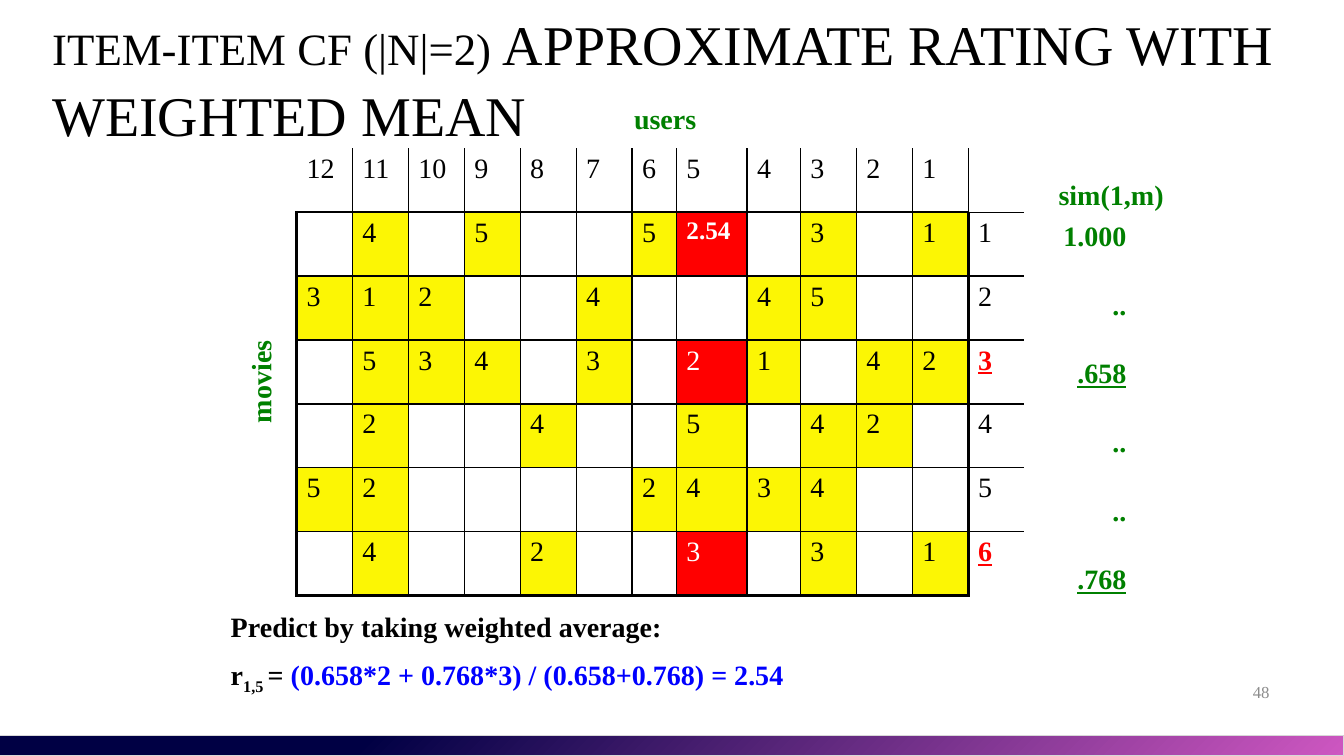
import pptx
from pptx.dml.color import RGBColor
from pptx.enum.dml import MSO_THEME_COLOR
from pptx.enum.shapes import MSO_SHAPE
from pptx.enum.text import MSO_ANCHOR, PP_ALIGN
from pptx.oxml.ns import qn
from pptx.util import Inches, Pt
from lxml import etree

BLACK = RGBColor(0x00, 0x00, 0x00)
WHITE = RGBColor(0xFF, 0xFF, 0xFF)
GREEN = RGBColor(0x00, 0x80, 0x00)
RED = RGBColor(0xFF, 0x00, 0x00)
BLUE = RGBColor(0x00, 0x00, 0xFF)
YELLOW = RGBColor(0xFC, 0xF6, 0x04)
GRAY = RGBColor(0x8C, 0x8C, 0x8C)
EDGE = RGBColor(0xD8, 0xD8, 0xD8)
NAVY = RGBColor(0x00, 0x00, 0x44)
PINK = RGBColor(0xCE, 0x57, 0xC1)

BASE = {"name": "Times New Roman", "size": Pt(20), "color": BLACK}
BOLD = {"bold": True}
LABEL = {"bold": True, "color": GREEN}
LINK = {"bold": True, "color": GREEN, "underline": True}
PICK = {"bold": True, "color": RED, "underline": True}

# Users run from 12 down to 1; the last column numbers the movies.
USERS = [str(n) for n in range(12, 0, -1)]
RATINGS = [
    "- 4 - 5 - - 5 2.54 - 3 - 1",
    "3 1 2 - - 4 - - 4 5 - -",
    "- 5 3 4 - 3 - 2 1 - 4 2",
    "- 2 - - 4 - - 5 - 4 2 -",
    "5 2 - - - - 2 4 3 4 - -",
    "- 4 - - 2 - - 3 - 3 - 1",
]
PREDICTED = (1, 7)
USED = {(3, 7), (6, 7)}
NEAR = {3, 6}
NARROW = {6: 0.44, 7: 0.7, 8: 0.53}
GRID = (2.94, 1.47, 7.22, 4.44)

# Each box: place, paragraphs of (text, format) runs, then options.
BOXES = [
    ((0.42, -0.05, 12.6, 1.63),
     [[("ITEM-ITEM CF (|N|=2) ", {"size": Pt(32)}),
       ("APPROXIMATE RATING WITH WEIGHTED MEAN", {"size": Pt(40)})]],
     {"anchor": MSO_ANCHOR.MIDDLE, "lead": 1.05}),
    ((9.58, 6.66, 3.11, 0.4),
     [[("48", {"size": Pt(12), "color": GRAY})]],
     {"anchor": MSO_ANCHOR.MIDDLE, "align": PP_ALIGN.RIGHT}),
    ((6.19, 0.96, 0.83, 0.44), [[("users", LABEL)]], {"wrap": False}),
    ((2.19, 6, 6.48, 0.94),
     [[("Predict by taking weighted average:", BOLD)],
      [("r", BOLD), ("1,5 ", {"bold": True, "sub": True}), ("= ", BOLD),
       ("(0.658*2 + 0.768*3) / (0.658+0.768) = 2.54",
        {"bold": True, "color": BLUE})]],
     {"gap": 10}),
    ((2.07, 3.56, 1.03, 0.44), [[("movies", LABEL)]],
     {"wrap": False, "turn": 270}),
    ((10.29, 1.71, 1.35, 0.44), [[("sim(1,m)", LABEL)]],
     {"wrap": False, "align": PP_ALIGN.RIGHT}),
    ((10.29, 2.12, 0.98, 3.94),
     [[("1.000", LABEL)], [("..", LABEL)], [(".658", LINK)],
      [("..", LABEL)], [("..", LABEL)], [(".768", LINK)]],
     {"align": PP_ALIGN.RIGHT, "gap": 25}),
]


def add_run(para, text, form):
    run = para.add_run()
    run.text = text
    for key, value in {**BASE, **form}.items():
        if key == "color":
            run.font.color.rgb = value
        elif key == "sub":
            run.font._element.set("baseline", "-25000")
        else:
            setattr(run.font, key, value)


def add_box(slide, place, paras, anchor=MSO_ANCHOR.TOP, align=PP_ALIGN.LEFT,
            wrap=True, gap=0, turn=0, lead=None):
    box = slide.shapes.add_textbox(*map(Inches, place))
    box.rotation = turn
    frame = box.text_frame
    frame.word_wrap = wrap
    frame.vertical_anchor = anchor
    for i, runs in enumerate(paras):
        para = frame.paragraphs[0] if i == 0 else frame.add_paragraph()
        para.alignment = align
        para.line_spacing = lead
        if i:
            para.space_before = Pt(gap)
        for text, form in runs:
            add_run(para, text, form)


def add_bar(slide):
    bar = slide.shapes.add_shape(MSO_SHAPE.RECTANGLE, 0, Inches(7.3),
                                 Inches(13.33), Inches(0.2))
    bar.shadow.inherit = False
    bar.fill.gradient()
    bar.fill.gradient_angle = 315
    stops = [(0.27, NAVY), (1, PINK)]
    for stop, (place, color) in zip(bar.fill.gradient_stops, stops):
        stop.position = place
        stop.color.rgb = color
    bar.line.color.rgb = EDGE
    bar.line.width = Pt(0.75)


def find_edges(row, col, rows, cols):
    """Return line widths in points: heavy round the ratings, none outside."""
    last, tag = rows - 1, cols - 1
    heavy, thin = 2.25, 1
    left = heavy if row and col in (0, tag) else thin if col else 0
    right = 0 if col == tag else heavy if row and col == tag - 1 else thin
    top = 0 if row == 0 else heavy if row == 1 and col < tag else thin
    if col == tag:
        bottom = 0 if row == last else thin
    else:
        bottom = heavy if row in (0, last) else thin
    return {"a:lnL": left, "a:lnR": right, "a:lnT": top, "a:lnB": bottom}


def set_edges(cell, edges):
    props = cell._tc.get_or_add_tcPr()
    for tag, width in edges.items():
        line = etree.SubElement(props, qn(tag), w=str(int(Pt(width))))
        if width:
            fill = etree.SubElement(line, qn("a:solidFill"))
            etree.SubElement(fill, qn("a:srgbClr"), val=str(BLACK))
        else:
            etree.SubElement(line, qn("a:noFill"))


def get_look(row, col, text, tag):
    """Return the fill colour and text format of a cell."""
    if col == tag:
        return None, PICK if row in NEAR else {}
    if (row, col) == PREDICTED:
        return RED, {"size": Pt(18), "bold": True, "color": WHITE}
    if (row, col) in USED:
        return RED, {"color": WHITE}
    return (YELLOW if row and text else None), {}


def add_grid(slide):
    data = [USERS + [""]]
    for n, line in enumerate(RATINGS, 1):
        data.append([t.replace("-", "") for t in line.split()] + [str(n)])
    rows, cols = len(data), len(data[0])
    table = slide.shapes.add_table(rows, cols, *map(Inches, GRID)).table
    table.first_row = table.horz_banding = False
    wide = (GRID[2] - sum(NARROW.values())) / (cols - len(NARROW))
    for i, column in enumerate(table.columns):
        column.width = Inches(NARROW.get(i, wide))
    for r, line in enumerate(data):
        table.rows[r].height = Inches(GRID[3] / rows)
        for c, text in enumerate(line):
            cell = table.cell(r, c)
            set_edges(cell, find_edges(r, c, rows, cols))
            color, form = get_look(r, c, text, cols - 1)
            if color is None:
                cell.fill.background()
            else:
                cell.fill.solid()
                cell.fill.fore_color.rgb = color
            if text:
                add_run(cell.text_frame.paragraphs[0], text, form)


def main():
    deck = pptx.Presentation()
    deck.slide_width, deck.slide_height = Inches(13.33), Inches(7.5)
    slide = deck.slides.add_slide(deck.slide_layouts[6])
    add_bar(slide)
    add_grid(slide)
    for place, paras, opts in BOXES:
        add_box(slide, place, paras, **opts)
    deck.save("out.pptx")


if __name__ == "__main__":
    main()
